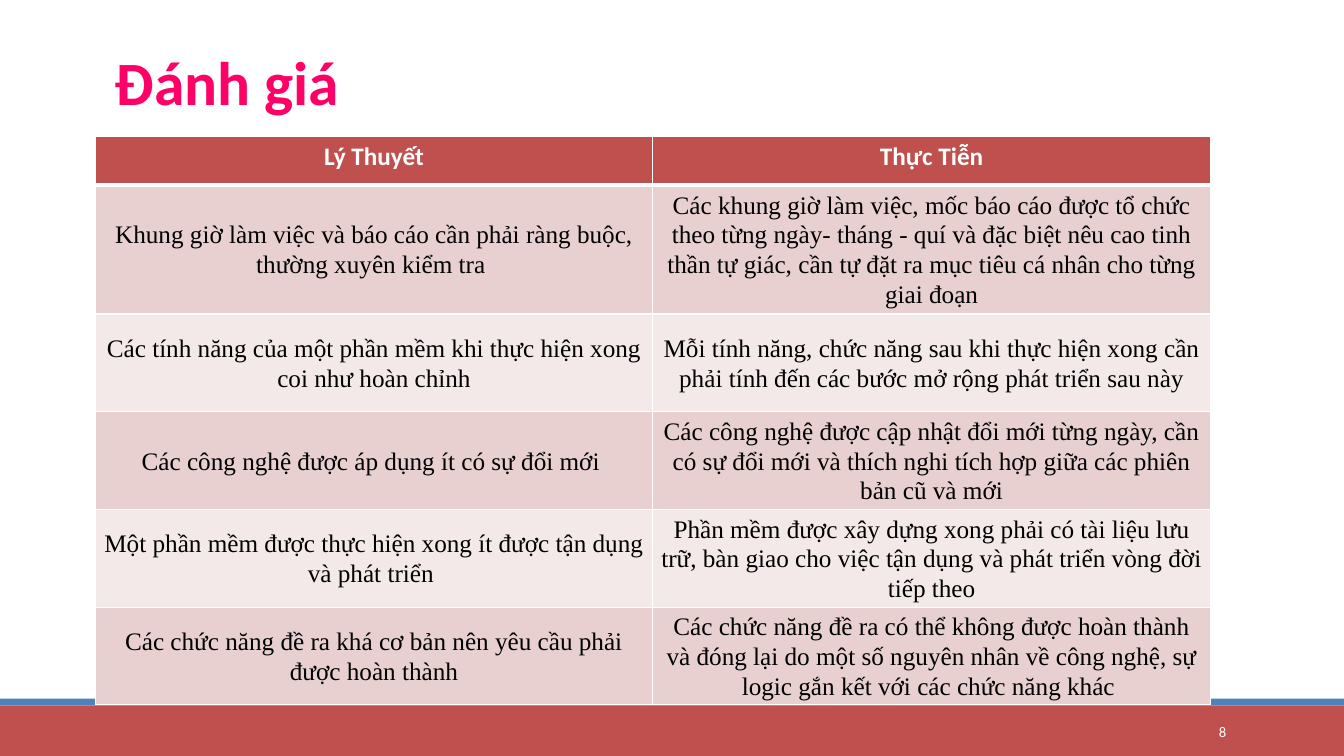
from lxml import etree
from pptx import Presentation
from pptx.dml.color import RGBColor
from pptx.enum import shapes, text
from pptx.oxml import ns
from pptx.util import Pt

TITLE = "Đánh giá"
NUMBER = "8"
HEAD = ("Lý Thuyết", "Thực Tiễn")
BODY = [
    ("Khung giờ làm việc và báo cáo cần phải ràng buộc, thường xuyên kiểm tra ",
     "Các khung giờ làm việc, mốc báo cáo được tổ chức theo từng ngày- tháng - quí và đặc biệt "
     "nêu cao tinh thần tự giác, cần tự đặt ra mục tiêu cá nhân cho từng giai đoạn"),
    ("Các tính năng của một phần mềm khi thực hiện xong coi như hoàn chỉnh",
     "Mỗi tính năng, chức năng sau khi thực hiện xong cần phải tính đến các bước mở rộng "
     "phát triển sau này"),
    ("Các công nghệ được áp dụng ít có sự đổi mới ",
     "Các công nghệ được cập nhật đổi mới từng ngày, cần có sự đổi mới và thích nghi tích hợp "
     "giữa các phiên bản cũ và mới"),
    ("Một phần mềm được thực hiện xong ít được tận dụng và phát triển ",
     "Phần mềm được xây dựng xong phải có tài liệu lưu trữ, bàn giao cho việc tận dụng và "
     "phát triển vòng đời tiếp theo"),
    ("Các chức năng đề ra khá cơ bản nên yêu cầu phải được hoàn thành",
     "Các chức năng đề ra có thể không được hoàn thành và đóng lại do một số nguyên nhân về "
     "công nghệ, sự logic gắn kết với các chức năng khác "),
]
RED, BLUE, WHITE = "C0504D", "4F81BD", "FFFFFF"
BANDS = ("E8D0D0", "F4E9E9")
WIDE, HIGH = 960, 540
BARS = [(504, 36, RED), (499, 5, BLUE)]
HEAD_H, ROW_H, COL_W = 34.5, 69.8, 398.3


def color(code):
    return RGBColor.from_string(code)


def style(para, size, code, font="Calibri", bold=False, align=text.PP_ALIGN.CENTER):
    para.alignment = align
    for run in para.runs:
        run.font.name = font
        run.font.size = Pt(size)
        run.font.bold = bold
        run.font.color.rgb = color(code)


def border(cell, widths):
    props = cell._tc.get_or_add_tcPr()
    for spot, (side, width) in enumerate(widths.items()):
        line = etree.Element(ns.qn("a:ln" + side), w=str(Pt(width)))
        fill = etree.SubElement(line, ns.qn("a:solidFill"))
        etree.SubElement(fill, ns.qn("a:srgbClr"), val=WHITE)
        props.insert(spot, line)


def add_bars(slide):
    for top, high, code in BARS:
        bar = slide.shapes.add_shape(
            shapes.MSO_SHAPE.RECTANGLE, 0, Pt(top), Pt(WIDE), Pt(high))
        bar.shadow.inherit = False
        bar.fill.solid()
        bar.fill.fore_color.rgb = color(code)
        bar.line.fill.background()


def add_number(slide):
    box = slide.shapes.add_textbox(Pt(780), Pt(508.3), Pt(103), Pt(28.8))
    frame = box.text_frame
    frame.word_wrap = True
    frame.vertical_anchor = text.MSO_ANCHOR.MIDDLE
    frame.text = NUMBER
    style(frame.paragraphs[0], 10.5, WHITE, align=text.PP_ALIGN.RIGHT)


def add_title(slide):
    title = slide.shapes.title
    title.left, title.top, title.width, title.height = Pt(82), Pt(34), Pt(734.4), Pt(56)
    frame = title.text_frame
    frame.text = TITLE
    frame.word_wrap = True
    frame.auto_size = text.MSO_AUTO_SIZE.NONE
    frame.vertical_anchor = text.MSO_ANCHOR.TOP
    frame.margin_left = frame.margin_right = 0
    para = frame.paragraphs[0]
    para.line_spacing = 0.9
    para.space_before, para.space_after = Pt(12), Pt(2)
    style(para, 44, "FF0066", bold=True, align=text.PP_ALIGN.LEFT)


def add_grid(slide):
    rows = [HEAD] + BODY
    grid = slide.shapes.add_table(
        len(rows), len(HEAD), Pt(68), Pt(97.4), Pt(COL_W * len(HEAD)),
        Pt(HEAD_H + ROW_H * len(BODY))).table
    for col in grid.columns:
        col.width = Pt(COL_W)
    for r, row in enumerate(rows):
        grid.rows[r].height = Pt(ROW_H if r else HEAD_H)
        for c, words in enumerate(row):
            cell = grid.cell(r, c)
            cell.text_frame.text = words
            para = cell.text_frame.paragraphs[0]
            cell.fill.solid()
            cell.fill.fore_color.rgb = color(BANDS[(r - 1) % 2] if r else RED)
            if r:
                cell.vertical_anchor = text.MSO_ANCHOR.MIDDLE
                cell.margin_left = cell.margin_right = Pt(5)
                cell.margin_top = cell.margin_bottom = 0
                para.line_spacing = 1.07
                style(para, 18, "000000", "Times New Roman")
            else:
                style(para, 18, WHITE, bold=True)
            border(cell, {"L": 1, "R": 1, "T": 3 if r == 1 else 1, "B": 1 if r else 3})


def main():
    deck = Presentation()
    deck.slide_width, deck.slide_height = Pt(WIDE), Pt(HIGH)
    slide = deck.slides.add_slide(deck.slide_layouts[5])
    add_bars(slide)
    add_number(slide)
    add_title(slide)
    add_grid(slide)
    deck.save("out.pptx")


if __name__ == "__main__":
    main()
